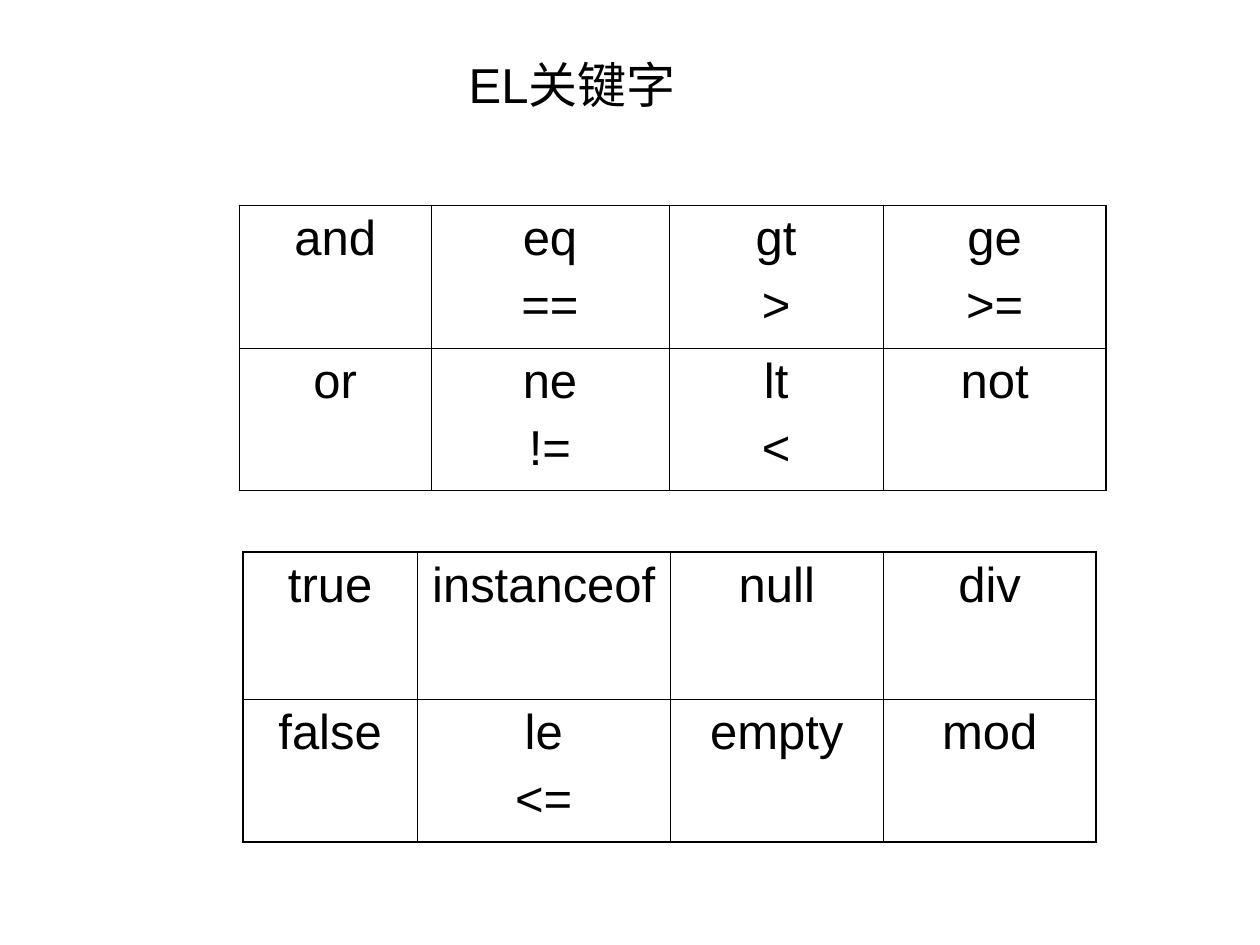
import dataclasses
import pptx
import pptx.util
import pptx.dml.color
import pptx.enum.text
import lxml.etree
from pptx.oxml.ns import qn


@dataclasses.dataclass(frozen=True)
class Theme:
    font: str = "Arial"
    ink: str = "000000"
    size: int = 28
    line_gap: int = 7
    outer_rule: float = 1.08
    inner_rule: float = 0.45


theme = Theme()
inch = pptx.util.Inches


def write_centred(frame, words):
    frame.text = words
    for index, paragraph in enumerate(frame.paragraphs):
        paragraph.alignment = pptx.enum.text.PP_ALIGN.CENTER
        if index:
            paragraph.space_before = pptx.util.Pt(theme.line_gap)
        for run in paragraph.runs:
            run.font.name = theme.font
            run.font.size = pptx.util.Pt(theme.size)
            run.font.color.rgb = pptx.dml.color.RGBColor.from_string(theme.ink)
            east_asian = lxml.etree.SubElement(run.font._element, qn("a:ea"))
            east_asian.set("typeface", theme.font)


def rule_cell(cell, outer_sides):
    """Draw the four borders, heavier on the sides at the table's edge."""
    properties = cell._tc.get_or_add_tcPr()
    for side, is_outer in outer_sides.items():
        width = theme.outer_rule if is_outer else theme.inner_rule
        border = lxml.etree.SubElement(properties, qn(f"a:ln{side}"))
        border.set("w", str(int(pptx.util.Pt(width))))
        fill = lxml.etree.SubElement(border, qn("a:solidFill"))
        lxml.etree.SubElement(fill, qn("a:srgbClr")).set("val", theme.ink)


presentation = pptx.Presentation()
presentation.slide_width = inch(10)
presentation.slide_height = inch(7.5)
slide = presentation.slides.add_slide(presentation.slide_layouts[6])

heading = slide.shapes.add_textbox(inch(0.25), inch(0.33), inch(8.58), inch(0.67))
heading.text_frame.word_wrap = True
heading.text_frame.vertical_anchor = pptx.enum.text.MSO_ANCHOR.MIDDLE
write_centred(heading.text_frame, "EL关键字")

# Each keyword grid: left, top, column widths, row heights, words by row
keyword_grids = [
    (1.9, 1.63, [1.52, 1.89, 1.7, 1.77], [1.13, 1.13],
     [["and", "eq\n==", "gt\n>", "ge\n>="],
      ["or", "ne\n!=", "lt\n<", "not"]]),
    (1.93, 4.38, [1.38, 2.01, 1.69, 1.69], [1.17, 1.13],
     [["true", "instanceof", "null", "div"],
      ["false", "le\n<=", "empty", "mod"]]),
]

for left, top, widths, heights, keywords in keyword_grids:
    grid = slide.shapes.add_table(
        len(heights), len(widths), inch(left), inch(top),
        inch(sum(widths)), inch(sum(heights))).table
    grid.first_row = False
    grid.horz_banding = False
    for column, width in zip(grid.columns, widths):
        column.width = inch(width)
    for row, height in zip(grid.rows, heights):
        row.height = inch(height)
    for r, row_words in enumerate(keywords):
        for c, words in enumerate(row_words):
            cell = grid.cell(r, c)
            write_centred(cell.text_frame, words)
            rule_cell(cell, {"L": c == 0, "R": c == len(widths) - 1,
                             "T": r == 0, "B": r == len(heights) - 1})
            cell.fill.background()

presentation.save("out.pptx")
